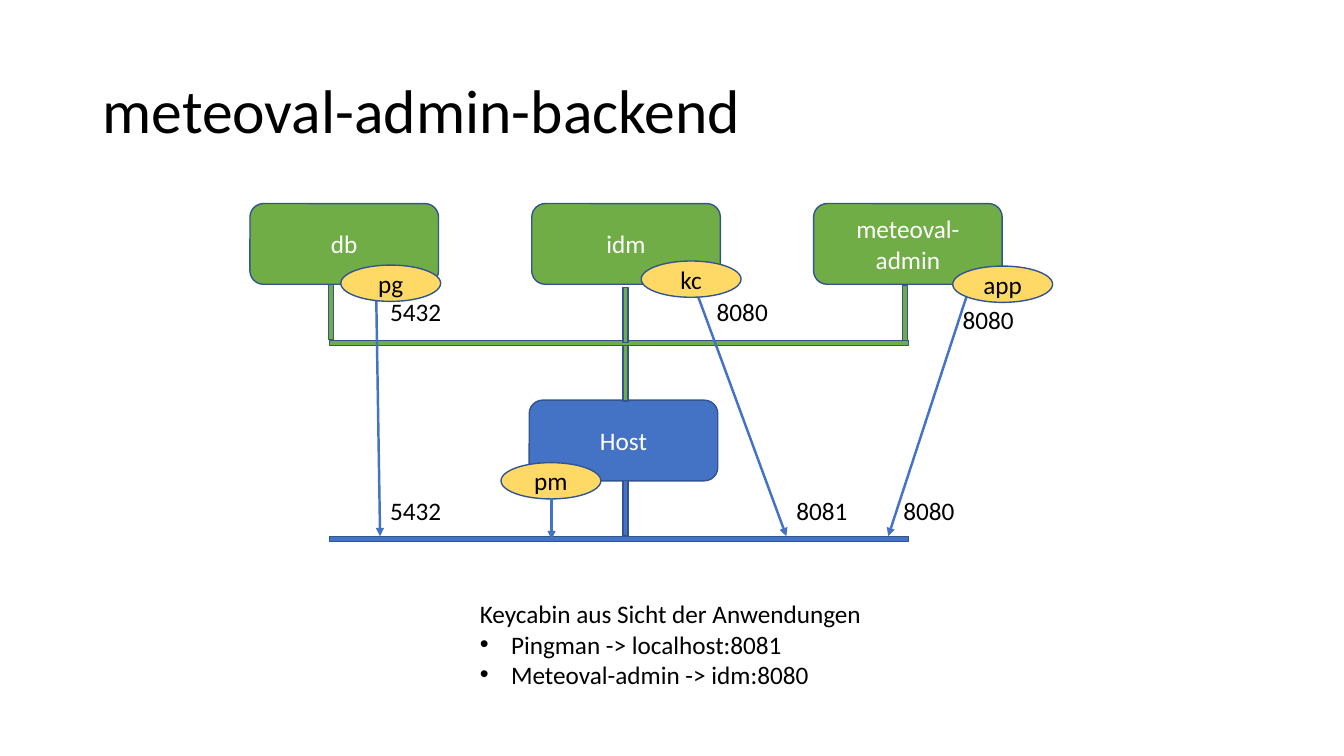
from dataclasses import dataclass
from pptx import Presentation
from pptx.dml.color import RGBColor
from pptx.enum.shapes import MSO_CONNECTOR, MSO_SHAPE
from pptx.enum.text import MSO_ANCHOR, MSO_AUTO_SIZE, PP_ALIGN
from pptx.oxml.ns import qn
from pptx.util import Inches, Pt
from lxml.etree import SubElement


@dataclass(frozen=True)
class Theme:
    font: str = "Calibri"
    title: int = 44
    body: int = 18
    line: float = 1
    arrow: float = 1.75
    ink: str = "000000"
    white: str = "FFFFFF"
    blue: str = "4472C4"
    edge: str = "325491"
    green: str = "70AD47"
    gold: str = "FFD966"


THEME = Theme()
WIDE, HIGH = Inches(13.33), Inches(7.5)
BOX = (14.03, 10.67)
OVAL = (7.43, 4.8)
PORT = (5.33, 5.33)
THICK = 0.05
STEM = 7.33
LEFT, STEP, TOP = 18.6, 20.97, 26.93
BUS, SPAN = 24.53, 43.06
NET, LAN = 45.07, 70.93
MID = 46.55


def across(share):
    return round(WIDE * share / 100)


def down(share):
    return round(HIGH * share / 100)


def area(x, y, w, h):
    return across(x), down(y), across(w), down(h)


def color(code):
    return RGBColor.from_string(code)


def write(frame, text, size=THEME.body, ink=THEME.ink, align=PP_ALIGN.LEFT,
          anchor=MSO_ANCHOR.TOP, wrap=True, lead=None, bullets=False):
    frame.word_wrap = wrap
    frame.vertical_anchor = anchor
    if not wrap:
        frame.auto_size = MSO_AUTO_SIZE.SHAPE_TO_FIT_TEXT
    for i, line in enumerate(text.split("\n")):
        para = frame.add_paragraph() if i else frame.paragraphs[0]
        para.alignment = align
        if lead:
            para.line_spacing = lead
        run = para.add_run()
        run.text = line
        run.font.name = THEME.font
        run.font.size = Pt(size)
        run.font.color.rgb = color(ink)
        if bullets and i:
            bullet(para)


def bullet(para):
    props = para._p.get_or_add_pPr()
    props.set("marL", str(Inches(0.31)))
    props.set("indent", str(-Inches(0.31)))
    SubElement(props, qn("a:buFont"), typeface="Arial")
    SubElement(props, qn("a:buChar"), char="•")


def label(slide, text, place, **style):
    box = slide.shapes.add_textbox(*area(*place))
    write(box.text_frame, text, **style)


def shape(slide, kind, place, fill):
    item = slide.shapes.add_shape(kind, *place)
    item.shadow.inherit = False
    item.fill.solid()
    item.fill.fore_color.rgb = color(fill)
    item.line.color.rgb = color(THEME.edge)
    item.line.width = Pt(THEME.line)
    return item


def node(slide, text, x, y, fill, kind=MSO_SHAPE.ROUNDED_RECTANGLE,
         size=BOX, ink=THEME.white):
    item = shape(slide, kind, area(x, y, *size), fill)
    write(item.text_frame, text, ink=ink, align=PP_ALIGN.CENTER,
          anchor=MSO_ANCHOR.MIDDLE)


def bus(slide, y, fill):
    place = across(BUS), down(y), across(SPAN), Inches(THICK)
    shape(slide, MSO_SHAPE.RECTANGLE, place, fill)


def stem(slide, x, y, fill):
    place = across(x) - Inches(THICK) // 2, down(y), Inches(THICK), down(STEM)
    shape(slide, MSO_SHAPE.RECTANGLE, place, fill)


def arrow(slide, x1, y1, x2, y2):
    link = slide.shapes.add_connector(
        MSO_CONNECTOR.STRAIGHT, across(x1), down(y1), across(x2), down(y2))
    link.line.color.rgb = color(THEME.blue)
    link.line.width = Pt(THEME.arrow)
    SubElement(link.line._get_or_add_ln(), qn("a:tailEnd"), type="triangle")
    SubElement(link._element.spPr, qn("a:effectLst"))


def main():
    deck = Presentation()
    deck.slide_width, deck.slide_height = WIDE, HIGH
    slide = deck.slides.add_slide(deck.slide_layouts[6])

    label(slide, "meteoval-admin-backend", (6.9, 5.33, 86.27, 19.33),
          size=THEME.title, anchor=MSO_ANCHOR.MIDDLE, lead=0.9)

    node(slide, "Host", 39.38, 52.93, THEME.blue)
    for i, name in enumerate(("db", "idm", "meteoval-admin")):
        node(slide, name, LEFT + i * STEP, TOP, THEME.green)

    bus(slide, NET, THEME.green)
    for x, y in ((24.64, 37.6), (MID, 38), (67.33, 37.73), (MID, 45.73)):
        stem(slide, x, y, THEME.green)
    bus(slide, LAN, THEME.blue)
    stem(slide, MID, 63.6, THEME.blue)

    for x, y, end in ((51.69, 38, 58.51), (27.98, 37.6, 28.28),
                      (72.09, 38.27, 66.09)):
        arrow(slide, x, y, end, LAN)

    for text, x, y in (("5432", 28.28, 38.53), ("5432", 28.28, 64.8),
                       ("8080", 52.59, 38.53), ("8081", 58.51, 64.8),
                       ("8080", 70.89, 39.6), ("8080", 66.47, 64.8)):
        label(slide, text, (x, y, *PORT), wrap=False)

    label(slide, "Keycabin aus Sicht der Anwendungen\n"
          "Pingman -> localhost:8081\nMeteoval-admin -> idm:8080",
          (34.96, 78.53, 30.08, 13.47), wrap=False, bullets=True)

    for text, x, y in (("app", 70.89, 35.2), ("kc", 47.71, 34.53),
                       ("pg", 25.36, 35.07), ("pm", 37.28, 61.2)):
        node(slide, text, x, y, THEME.gold, kind=MSO_SHAPE.OVAL,
             size=OVAL, ink=THEME.ink)
    arrow(slide, 41.04, 65.87, 41.04, 71.33)

    deck.save("out.pptx")


main()
